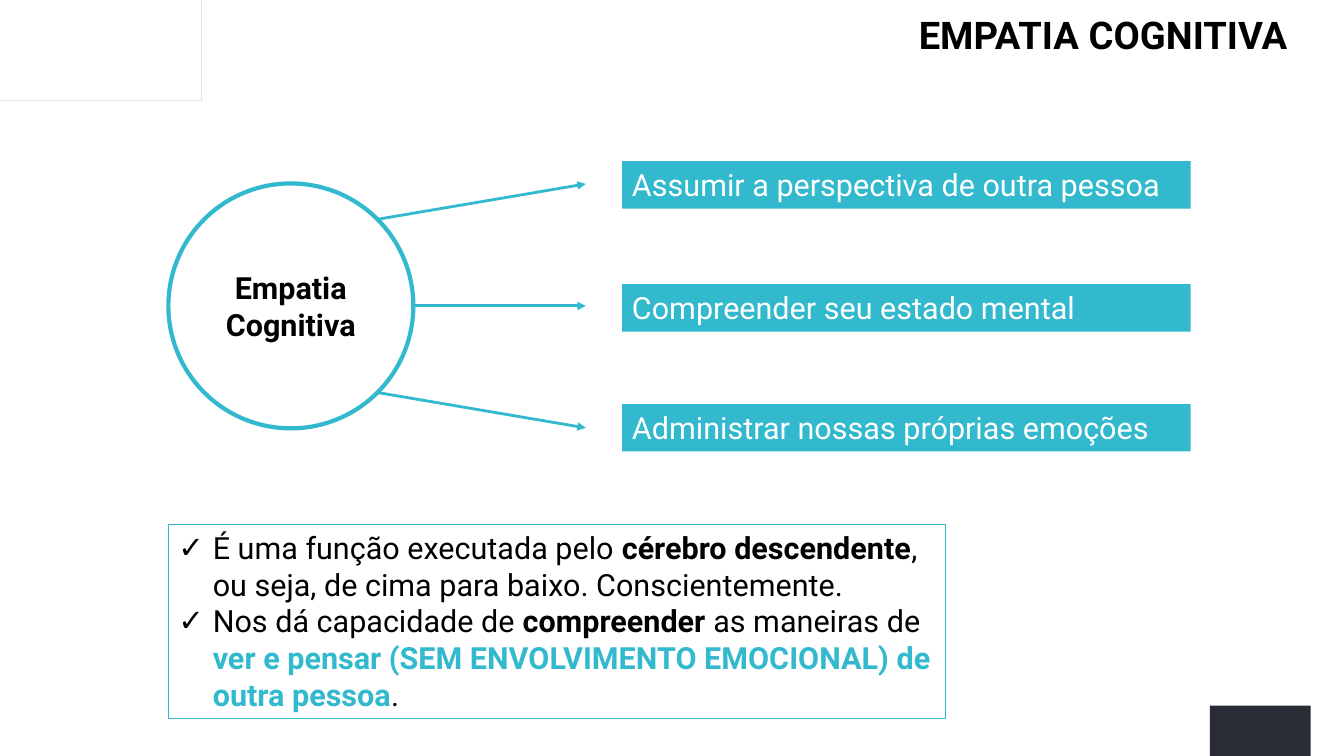
from math import cos, radians, sin

from lxml import etree
from pptx import Presentation
from pptx.dml.color import RGBColor
from pptx.enum.shapes import MSO_CONNECTOR, MSO_SHAPE
from pptx.enum.text import MSO_ANCHOR, MSO_AUTO_SIZE, PP_ALIGN
from pptx.oxml.ns import qn
from pptx.util import Inches, Pt

RECT, OVAL = MSO_SHAPE.RECTANGLE, MSO_SHAPE.OVAL
STRAIGHT = MSO_CONNECTOR.STRAIGHT
TOP, MIDDLE = MSO_ANCHOR.TOP, MSO_ANCHOR.MIDDLE
LEFT, CENTER, RIGHT = PP_ALIGN.LEFT, PP_ALIGN.CENTER, PP_ALIGN.RIGHT
NO_FIT = MSO_AUTO_SIZE.NONE

COLORS = {"teal": "32B9CD", "black": "000000", "white": "FFFFFF",
          "corner": "292C34", "swoosh": "3B3D42"}
FONT = "Roboto"
BODY_SIZE = 21.8

TITLE = "EMPATIA COGNITIVA"
PAGE = "4"
HUB = "Empatia Cognitiva"
BARS = [("Assumir a perspectiva de outra pessoa", 1.6),
        ("Compreender seu estado mental", 2.82),
        ("Administrar nossas próprias emoções", 4.01)]
NOTES = [
    [("É uma função executada pelo ", "black", False),
     ("cérebro descendente", "black", True),
     (", ou seja, de cima para baixo. Conscientemente.", "black", False)],
    [("Nos dá capacidade de ", "black", False),
     ("compreender", "black", True),
     (" as maneiras de ", "black", False),
     ("ver e pensar (SEM ENVOLVIMENTO EMOCIONAL) de outra pessoa", "teal", True),
     (".", "black", False)],
]

HUB_X, HUB_Y, HUB_R = 2.885, 3.035, 1.215
ARROW_X, ARROW_STEP = 5.81, 1.21
ARROW_ANGLES = [-45, 0, 45]

CORNER = [(13.33, 6.89), (12.92, 6.99), (12.83, 7.02), (12.75, 7.06),
          (12.68, 7.1), (12.62, 7.15), (12.57, 7.21), (12.53, 7.27),
          (12.51, 7.33), (12.5, 7.4), (12.5, 7.5), (13.33, 7.5)]
SWOOSH = [(0, 1.32), (1.87, 0.81), (1.92, 0.81), (2, 0.79), (2.09, 0.75),
          (2.17, 0.69), (2.24, 0.63), (2.3, 0.56), (2.34, 0.49),
          (2.37, 0.41), (2.38, 0.32), (2.38, 0), (2.34, 0), (2.34, 0.12),
          (1.87, 0), (1.83, 0), (2.34, 0.13), (2.34, 0.32), (2.33, 0.4),
          (2.3, 0.48), (2.25, 0.56), (2.19, 0.63), (2.12, 0.68),
          (2.04, 0.73), (1.95, 0.77), (1.9, 0.78), (1.87, 0.8), (0, 1.31)]


def rgb(name):
    return RGBColor.from_string(COLORS[name])


def paint(shape, fill=None, line=None, width=0):
    if fill:
        shape.fill.solid()
        shape.fill.fore_color.rgb = rgb(fill)
    else:
        shape.fill.background()
    if line:
        shape.line.color.rgb = rgb(line)
        shape.line.width = Pt(width)
    else:
        shape.line.fill.background()


def place(shape, x, y, w, h):
    shape.left, shape.top = Inches(x), Inches(y)
    shape.width, shape.height = Inches(w), Inches(h)


def set_frame(tf, anchor):
    tf.word_wrap = True
    tf.auto_size = NO_FIT
    tf.vertical_anchor = anchor


def style(p, size, align, color=None, bold=None):
    p.alignment = align
    p.space_before = Pt(0)
    p.font.name, p.font.size, p.font.bold = FONT, Pt(size), bold
    if color:
        p.font.color.rgb = rgb(color)


def write(shape, text, size, color, align, anchor=TOP, bold=False):
    set_frame(shape.text_frame, anchor)
    p = shape.text_frame.paragraphs[0]
    p.text = text
    style(p, size, align, color, bold)


def add_box(s, kind, x, y, w, h, **look):
    box = s.shapes.add_shape(kind, Inches(x), Inches(y), Inches(w), Inches(h))
    box.shadow.inherit = False
    paint(box, **look)
    return box


def add_outline(s, points, fill):
    builder = s.shapes.build_freeform(*points[0], scale=Inches(1))
    builder.add_line_segments(points[1:], close=True)
    shape = builder.convert_to_shape()
    shape.shadow.inherit = False
    paint(shape, fill)


def add_arrow(s, x1, y1, x2, y2):
    arrow = s.shapes.add_connector(STRAIGHT, Inches(x1), Inches(y1), Inches(x2), Inches(y2))
    arrow.line.color.rgb = rgb("teal")
    arrow.line.width = Pt(2)
    sp_pr = arrow._element.spPr
    etree.SubElement(sp_pr.find(qn("a:ln")), qn("a:tailEnd"), type="triangle")
    etree.SubElement(sp_pr, qn("a:effectLst"))


def add_notes(body):
    place(body, 1.67, 5.2, 7.71, 1.93)
    paint(body, line="teal", width=0.75)
    tf = body.text_frame
    set_frame(tf, TOP)
    for i, runs in enumerate(NOTES):
        p = tf.add_paragraph() if i else tf.paragraphs[0]
        p_pr = p._p.get_or_add_pPr()
        p_pr.set("marL", str(Inches(0.34)))
        p_pr.set("indent", str(-Inches(0.34)))
        etree.SubElement(p_pr, qn("a:buChar"), char="✓")
        style(p, BODY_SIZE, LEFT)
        for text, color, bold in runs:
            r = p.add_run()
            r.text = text
            r.font.bold = bold
            r.font.color.rgb = rgb(color)


def main():
    prs = Presentation()
    prs.slide_width, prs.slide_height = Inches(13.33), Inches(7.5)
    s = prs.slides.add_slide(prs.slide_layouts[1])

    add_outline(s, CORNER, "corner")
    add_outline(s, SWOOSH, "swoosh")

    page = s.shapes.add_textbox(Inches(12.5), Inches(7.18), Inches(0.62), Inches(0.21))
    write(page, PAGE, 9.1, "white", RIGHT, bold=True)
    tf = page.text_frame
    tf.margin_left = tf.margin_right = Inches(0.02)
    tf.margin_top = tf.margin_bottom = Inches(0.01)

    title = s.shapes.title
    place(title, 2.81, 0.11, 10.06, 0.76)
    write(title, TITLE, 27.2, "black", RIGHT, bold=True)
    title.text_frame.paragraphs[0].line_spacing = 0.9

    hub = add_box(s, OVAL, HUB_X - HUB_R, HUB_Y - HUB_R, 2 * HUB_R, 2 * HUB_R,
                  line="teal", width=3)
    write(hub, HUB, BODY_SIZE, "black", CENTER, MIDDLE, True)

    for i, (angle, (text, y)) in enumerate(zip(ARROW_ANGLES, BARS)):
        a = radians(angle)
        add_arrow(s, HUB_X + HUB_R * cos(a), HUB_Y + HUB_R * sin(a),
                  ARROW_X, HUB_Y + (i - 1) * ARROW_STEP)
        bar = add_box(s, RECT, 6.17, y, 5.64, 0.47, fill="teal")
        write(bar, text, BODY_SIZE, "white", LEFT)

    add_notes(s.placeholders[1])
    prs.save("out.pptx")


if __name__ == "__main__":
    main()
